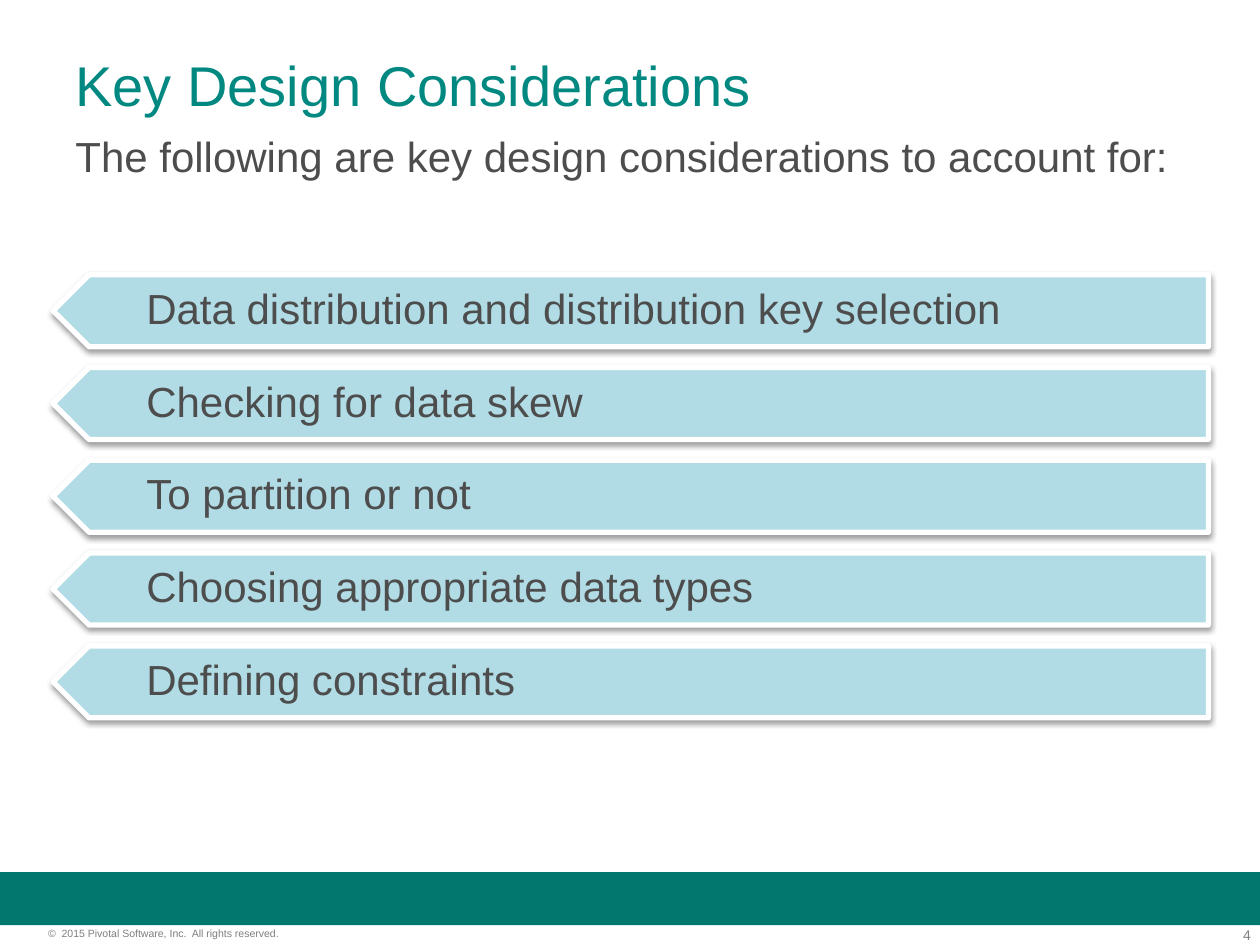
from lxml.etree import SubElement
from pptx import Presentation
from pptx.dml.color import RGBColor
from pptx.enum.shapes import MSO_SHAPE as Shape
from pptx.enum.text import MSO_ANCHOR as Anchor, MSO_AUTO_SIZE as Fit, PP_ALIGN as Align
from pptx.oxml.ns import qn
from pptx.util import Cm, Pt

TEAL = RGBColor(0x00, 0x88, 0x81)
GREEN = RGBColor(0x00, 0x78, 0x6E)
BLUE = RGBColor(0xB1, 0xDC, 0xE5)
WHITE = RGBColor(0xFF, 0xFF, 0xFF)
DARK = RGBColor(0x4D, 0x4D, 0x4D)
GRAY = RGBColor(0x7F, 0x7F, 0x7F)

# Each row: label and width of its text box in cm
ROWS = [
    ("Data distribution and distribution key selection", 19.51),
    ("Checking for data skew", 13.56),
    ("To partition or not", 13.56),
    ("Choosing appropriate data types", 13.56),
    ("Defining constraints", 22.05),
]
ROW_TOP, ROW_STEP, ROW_HIGH = 5.54, 1.87, 1.45


def place(shape, left, top, width, height):
    shape.left, shape.top = Cm(left), Cm(top)
    shape.width, shape.height = Cm(width), Cm(height)


def write(shape, text, size=24, color=DARK, align=Align.LEFT, anchor=Anchor.TOP,
          pad=(0, 0, 0, 0), line=1.0):
    """Fill a shape with one paragraph; pad is left, top, right, bottom in cm."""
    frame = shape.text_frame
    frame.word_wrap, frame.auto_size = True, Fit.NONE
    frame.vertical_anchor = anchor
    (frame.margin_left, frame.margin_top,
     frame.margin_right, frame.margin_bottom) = map(Cm, pad)
    para = frame.paragraphs[0]
    para.alignment, para.line_spacing = align, line
    para.space_before = Pt(0)
    run = para.add_run()
    run.text = text
    run.font.name, run.font.size = "Arial", Pt(size)
    run.font.color.rgb = color
    return para


def add_text(shapes, text, box, **style):
    write(shapes.add_textbox(*map(Cm, box)), text, **style)


def add_block(shapes, kind, box, fill):
    block = shapes.add_shape(kind, *map(Cm, box))
    block.shadow.inherit = False
    block.fill.solid()
    block.fill.fore_color.rgb = fill
    block.line.fill.background()
    return block


def cast_shadow(shape):
    effects = shape._element.spPr.find(qn("a:effectLst"))
    shadow = SubElement(effects, qn("a:outerShdw"), blurRad=str(Pt(3.1)),
                        dist=str(Pt(1.6)), dir="5400000", rotWithShape="0")
    color = SubElement(shadow, qn("a:srgbClr"), val="000000")
    SubElement(color, qn("a:alpha"), val="38000")


def add_row(shapes, label, width, top):
    plate = add_block(shapes, Shape.PENTAGON, (1.07, top, 23.29, ROW_HIGH), BLUE)
    plate.rotation = 180
    plate.line.color.rgb = WHITE
    plate.line.width = Pt(3)
    cast_shadow(plate)
    add_text(shapes, label, (2.31, top, width, ROW_HIGH), anchor=Anchor.MIDDLE,
             pad=(0.64, 0.25, 0.48, 0.25), line=0.9)


def add_heading(slide):
    title, body = slide.placeholders
    place(title, 1.27, 0.76, 22.86, 3.18)
    write(title, "Key Design Considerations", size=32, color=TEAL,
          pad=(0.25, 0.25, 0.25, 0.13))
    place(body, 1.27, 2.46, 22.86, 12.57)
    para = write(body, "The following are key design considerations to account for:",
                 pad=(0.25, 0.18, 0.25, 0.13))
    props = para._p.get_or_add_pPr()
    props.set("marL", str(Cm(0.95)))
    props.set("indent", str(Cm(-0.95)))
    SubElement(props, qn("a:buNone"))


def add_footer(shapes):
    add_block(shapes, Shape.RECTANGLE, (0, 17.58, 25.4, 1.07), GREEN)
    add_text(shapes, "4", (23.75, 18.67, 1.47, 0.33), size=8, color=GRAY,
             align=Align.RIGHT)
    add_text(shapes, "©  2015 Pivotal Software, Inc.  All rights reserved.",
             (0.97, 18.69, 6.32, 0.25), size=6, color=GRAY)


def main():
    deck = Presentation()
    deck.slide_width, deck.slide_height = Cm(25.4), Cm(19.05)
    slide = deck.slides.add_slide(deck.slide_layouts[1])
    add_footer(slide.shapes)
    add_heading(slide)
    group = slide.shapes.add_group_shape()
    for index, (label, width) in enumerate(ROWS):
        add_row(group.shapes, label, width, ROW_TOP + index * ROW_STEP)
    deck.save("out.pptx")


if __name__ == "__main__":
    main()
